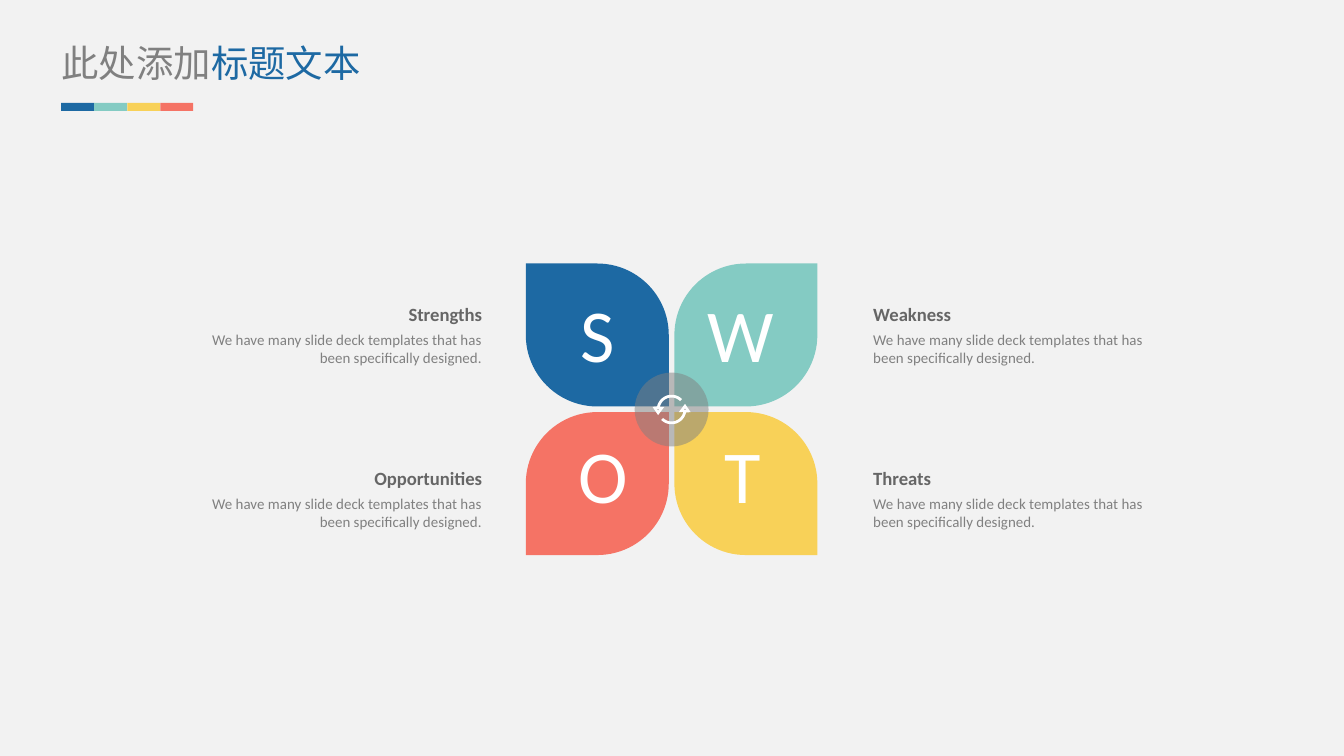
from math import cos, radians, sin

from lxml.etree import SubElement
from pptx import Presentation
from pptx.dml.color import RGBColor
from pptx.enum.shapes import MSO_SHAPE as SHAPE
from pptx.enum.text import MSO_AUTO_SIZE as AUTO_SIZE, PP_ALIGN as ALIGN
from pptx.oxml.ns import qn
from pptx.util import Pt

BLUE, TEAL, YELLOW, RED = "1D69A3", "84CBC3", "F8D158", "F57365"
GRAY, DARK, WHITE, PAPER = "808080", "666666", "FFFFFF", "F2F2F2"
BODY = "We have many slide deck templates that has been specifically designed."


def paint(fill, color):
    fill.solid()
    fill.fore_color.rgb = RGBColor.from_string(color)


def write(paragraph, text, size=8, color=GRAY, bold=False, font="Calibri"):
    run = paragraph.add_run()
    run.text = text
    run.font.size = Pt(size)
    run.font.bold = bold
    run.font.name = font
    paint(run.font.fill, color)
    SubElement(run.font._element, qn("a:ea"), typeface=font)


class SwotSlide:
    def __init__(self, slide):
        self.slide = slide
        paint(slide.background.fill, PAPER)

    def finish(self, shape, color, opacity=100):
        shape.shadow.inherit = False
        shape.line.fill.background()
        paint(shape.fill, color)
        if opacity < 100:
            tone = shape._element.spPr.find(qn("a:solidFill"))[0]
            SubElement(tone, qn("a:alpha"), val=str(opacity * 1000))

    def block(self, kind, left, top, width, height, color, opacity=100):
        shape = self.slide.shapes.add_shape(
            kind, Pt(left), Pt(top), Pt(width), Pt(height))
        self.finish(shape, color, opacity)
        return shape

    def petal(self, left, top, size, color, rising):
        leaf = self.block(SHAPE.ROUND_2_DIAG_RECTANGLE, left, top, size, size, color)
        leaf.adjustments[0] = 0.5 if rising else 0
        leaf.adjustments[1] = 0 if rising else 0.5

    def text_box(self, left, top, width, height, wrap=True):
        frame = self.slide.shapes.add_textbox(
            Pt(left), Pt(top), Pt(width), Pt(height)).text_frame
        frame.margin_left = frame.margin_right = 0
        frame.margin_top = frame.margin_bottom = 0
        frame.word_wrap = wrap
        frame.auto_size = AUTO_SIZE.SHAPE_TO_FIT_TEXT
        return frame

    def letter(self, text, left, top, width):
        line = self.text_box(left, top, width, 48.2, wrap=False).paragraphs[0]
        line.alignment = ALIGN.CENTER
        write(line, text, size=40, color=WHITE)

    def note(self, heading, left, top, align):
        frame = self.text_box(left, top, 147.6, 36.7)
        title, body = frame.paragraphs[0], frame.add_paragraph()
        for line in (title, body):
            line.alignment = align
            line.space_before = Pt(3)
        title.line_spacing = 1.2
        write(title, heading, size=10, color=DARK, bold=True)
        write(body, BODY)

    def cycle_icon(self, x, y, color):
        angles = [radians(a) for a in range(12, 136, 3)]
        outer = [(7.9 * cos(a), 7.9 * sin(a)) for a in angles]
        inner = [(6.4 * cos(a), 6.4 * sin(a)) for a in reversed(angles)]
        arrow = outer + inner + [(3.9, 1.4), (7.2, -3), (10.2, 1.4)]
        hole = [(7.2, -0.6), (6.5, 0.3), (7.9, 0.3)]
        contours = [[(Pt(x + turn * dx), Pt(y + turn * dy)) for dx, dy in outline]
                    for turn in (1, -1) for outline in (arrow, hole)]
        builder = self.slide.shapes.build_freeform(*contours[0][0], scale=1.0)
        builder.add_line_segments(contours[0][1:])
        for start, *rest in contours[1:]:
            builder.move_to(*start)
            builder.add_line_segments(rest)
        self.finish(builder.convert_to_shape(), color)


def main():
    deck = Presentation()
    deck.slide_width, deck.slide_height = Pt(720), Pt(405)
    swot = SwotSlide(deck.slides.add_slide(deck.slide_layouts[6]))

    petal_size, step = 76.6, 79.6
    for index, color in enumerate((BLUE, TEAL, RED, YELLOW)):
        row, column = divmod(index, 2)
        swot.petal(281.7 + column * step, 141.2 + row * step,
                   petal_size, color, rising=row != column)

    for text, left, top, width in (
            ("S", 311, 154.1, 18.7), ("W", 378.7, 154.1, 36),
            ("O", 309.6, 229.7, 26.6), ("T", 388.1, 229.7, 19.4)):
        swot.letter(text, left, top, width)

    swot.block(SHAPE.OVAL, 340, 199.6, 39.6, 39.6, GRAY, opacity=50)
    swot.cycle_icon(359.8, 219.4, WHITE)

    for left, align, headings in (
            (110.6, ALIGN.RIGHT, ("Strengths", "Opportunities")),
            (467.8, ALIGN.LEFT, ("Weakness", "Threats"))):
        for row, heading in enumerate(headings):
            swot.note(heading, left, 159.9 + row * 87.7, align)

    title = swot.text_box(33, 21.6, 219, 24.5).paragraphs[0]
    for text, color in (("此处添加", GRAY), ("标题文本", BLUE)):
        write(title, text, size=20, color=color, font="Noto Sans CJK SC")

    bar_width = 17.7
    for index, color in enumerate((BLUE, TEAL, YELLOW, RED)):
        swot.block(SHAPE.RECTANGLE, 32.8 + index * bar_width, 55.2,
                   bar_width, 4.3, color)

    deck.save("out.pptx")


if __name__ == "__main__":
    main()
